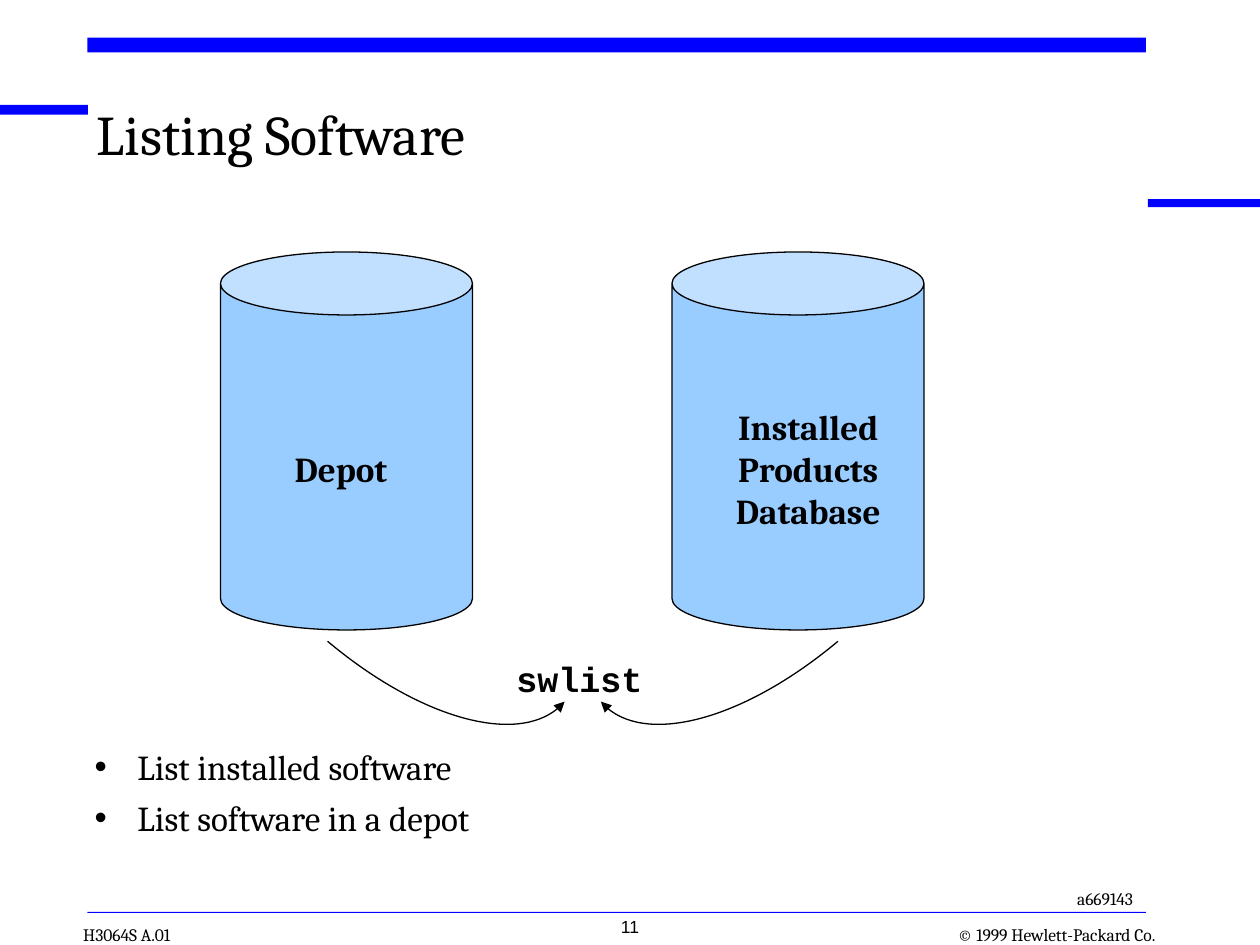
from lxml import etree
from pptx import Presentation, util as u
from pptx.dml.color import RGBColor
from pptx.enum import shapes, text
from pptx.oxml.ns import qn

BLUE, LIGHT_BLUE, BLACK = "0000FF", "99CCFF", "000000"
MIRROR_SUM = 666
ARROW_POINTS = [(187.2, 366.5), (240.5, 411.1), (301, 427), (322.6, 401)]


def color(hex_string):
    """Turn a hex string into a colour."""
    return RGBColor.from_string(hex_string)


def add_preset(slide, kind, box, fill, outline=None):
    """Add a filled preset shape, with a thin outline if one is given."""
    shape = slide.shapes.add_shape(kind, *map(u.Pt, box))
    shape.shadow.inherit = False
    shape.fill.solid()
    shape.fill.fore_color.rgb = color(fill)
    if outline:
        shape.line.color.rgb = color(outline)
        shape.line.width = u.Pt(0.75)
    else:
        shape.line.fill.background()
    return shape


def add_bullet(paragraph):
    """Give a paragraph a hanging round bullet."""
    properties = paragraph._p.get_or_add_pPr()
    properties.set("marL", str(u.Pt(24.5)))
    properties.set("indent", str(-u.Pt(24.5)))
    etree.SubElement(properties, qn("a:buFont"), typeface="Arial")
    etree.SubElement(properties, qn("a:buChar"), char="•")


def add_text(slide, box, lines, size, font="Cambria", bold=False, align="LEFT",
             margins=(0, 0), wrap=False, anchor="TOP", spacing=None, bullets=False):
    """Add a text box with one paragraph for each line."""
    frame = slide.shapes.add_textbox(*map(u.Pt, box)).text_frame
    frame.word_wrap = wrap
    frame.vertical_anchor = text.MSO_ANCHOR[anchor]
    frame.margin_left = frame.margin_right = u.Pt(margins[0])
    frame.margin_top = frame.margin_bottom = u.Pt(margins[1])
    for index, line in enumerate(lines):
        paragraph = frame.add_paragraph() if index else frame.paragraphs[0]
        paragraph.alignment = text.PP_ALIGN[align]
        if spacing:
            paragraph.line_spacing = spacing
        if bullets:
            if index:
                paragraph.space_before = u.Pt(5)
            add_bullet(paragraph)
        run = paragraph.add_run()
        run.text = line
        run.font.name = font
        run.font.size = u.Pt(size)
        run.font.bold = bold
        run.font.color.rgb = color(BLACK)


def add_curved_arrow(slide, points):
    """Draw a Bezier curve through a start, two controls and an end with an arrowhead."""
    start, *others = [(u.Pt(x), u.Pt(y)) for x, y in points]
    builder = slide.shapes.build_freeform(*start)
    builder.add_line_segments(others, close=False)
    shape = builder.convert_to_shape()
    shape.shadow.inherit = False
    shape.fill.background()
    shape.line.color.rgb = color(BLACK)
    shape.line.width = u.Pt(0.75)
    path = shape._element.find(".//" + qn("a:path"))
    path.set("fill", "none")
    curve = etree.SubElement(path, qn("a:cubicBezTo"))
    for segment in path.findall(qn("a:lnTo")):
        curve.append(segment[0])
        path.remove(segment)
    etree.SubElement(shape.line._get_or_add_ln(), qn("a:tailEnd"), type="triangle")


def main():
    """Build the slide and save it."""
    presentation = Presentation()
    presentation.slide_width, presentation.slide_height = u.Pt(720), u.Pt(540)
    slide = presentation.slides.add_slide(presentation.slide_layouts[6])

    for bar in [(0, 60, 50.2, 5.5), (50, 21.5, 604.8, 8.5),
                (656, 113.8, 64, 4.5), (50, 521, 604.8, 0.7)]:
        add_preset(slide, shapes.MSO_SHAPE.RECTANGLE, bar, BLUE)
    add_text(slide, (529.2, 527.8, 131, 12.2), ["© 1999 Hewlett-Packard Co."], 10,
             align="RIGHT", anchor="BOTTOM")
    add_text(slide, (47.5, 527.8, 59, 12.2), ["H3064S A.01"], 10, anchor="BOTTOM")
    add_text(slide, (55.4, 62.6, 581, 48.2), ["Listing Software"], 32,
             wrap=True, spacing=0.85)

    for left in (126, 384):
        can = add_preset(slide, shapes.MSO_SHAPE.CAN, (left, 144, 144, 216),
                         LIGHT_BLUE, BLACK)
        can.adjustments[0] = 0.25
    add_curved_arrow(slide, ARROW_POINTS)
    add_curved_arrow(slide, [(MIRROR_SUM - x, y) for x, y in ARROW_POINTS])

    inset = (7.2, 3.6)
    add_text(slide, (288, 372.2, 86.4, 31.7), ["swlist"], 20, "Courier New", True,
             margins=inset)
    add_text(slide, (54, 426.2, 599, 59.8),
             ["List installed software", "List software in a depot"], 20,
             wrap=True, bullets=True)
    add_text(slide, (608.4, 504, 54, 19.4), ["a669143"], 10, margins=inset)
    add_text(slide, (407.5, 228.2, 108.7, 79.2), ["Installed", "Products", "Database"],
             20, bold=True, align="CENTER", margins=inset)
    add_text(slide, (161.3, 252, 74.9, 31.7), ["Depot"], 20, bold=True, margins=inset)
    add_text(slide, (285.1, 519.8, 149.8, 23.8), ["11"], 10, "Arial",
             align="CENTER", margins=inset, wrap=True)
    presentation.save("out.pptx")


if __name__ == "__main__":
    main()
